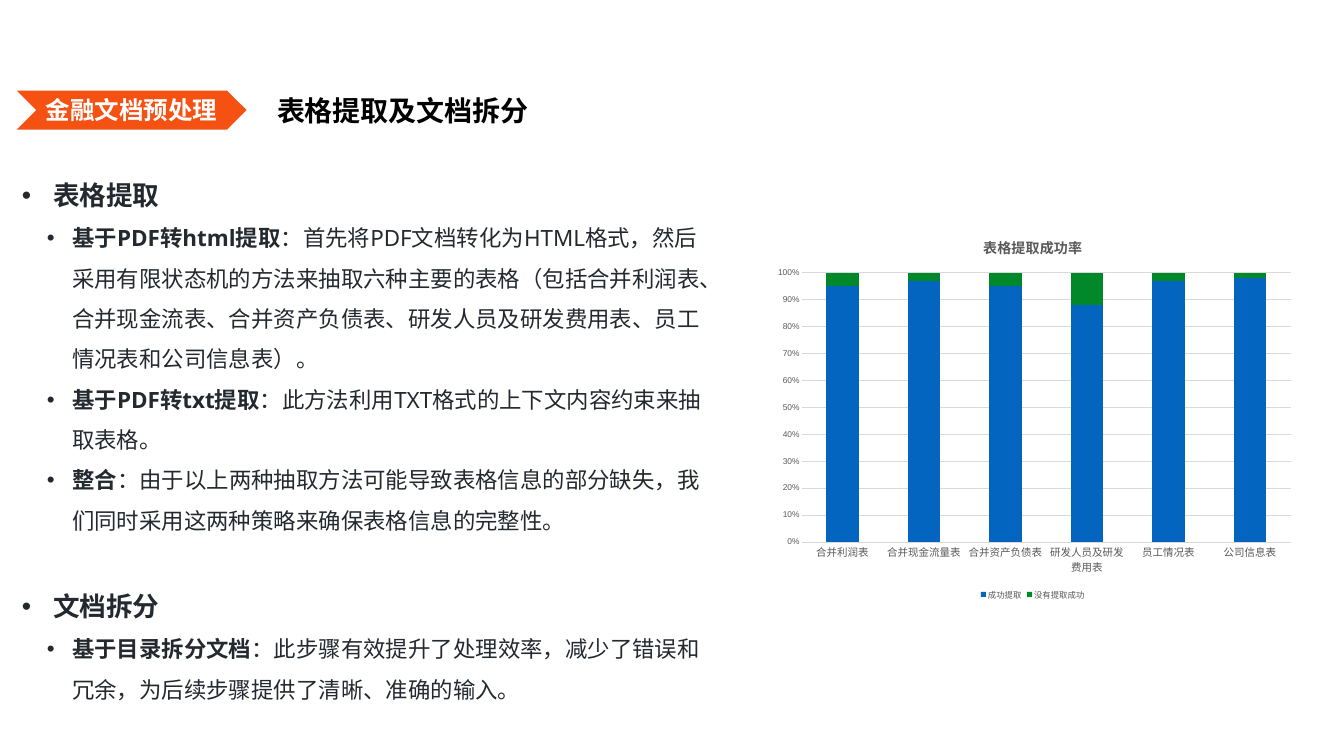
from dataclasses import dataclass

from lxml.etree import SubElement
from pptx import Presentation
from pptx.chart.data import CategoryChartData
from pptx.dml.color import RGBColor
from pptx.enum.chart import XL_CHART_TYPE, XL_LEGEND_POSITION, XL_TICK_MARK
from pptx.enum.shapes import MSO_SHAPE
from pptx.enum.text import MSO_ANCHOR, MSO_AUTO_SIZE, PP_ALIGN
from pptx.oxml import parse_xml
from pptx.oxml.ns import nsdecls, qn
from pptx.util import Inches, Pt


@dataclass(frozen=True)
class Theme:
    orange: str = "F55113"
    white: str = "FFFFFF"
    black: str = "000000"
    ink: str = "24292F"
    grey: str = "595959"
    grid: str = "D9D9D9"
    blue: str = "0365C0"
    green: str = "00882B"
    heading_font: str = "Noto Sans CJK SC"
    body_font: str = "Noto Sans"
    chart_font: str = "Arial"
    tag: int = 35
    title: int = 40
    section: int = 38
    body: int = 32
    chart_title: int = 20
    category: int = 15
    small: int = 12
    line_spacing: float = 1.5


theme = Theme()
deck = Presentation()
deck.slide_width, deck.slide_height = Inches(26.67), Inches(15)
page = deck.slides.add_slide(deck.slide_layouts[6])


def place(left, top, width, height):
    """Turn percentages of the slide into lengths."""
    across, down = deck.slide_width / 100, deck.slide_height / 100
    return int(left * across), int(top * down), int(width * across), int(height * down)


def write(para, text, size, color, font, bold=False):
    span = para.add_run()
    span.text = text
    span.font.size, span.font.bold, span.font.name = Pt(size), bold, font
    span.font.color.rgb = RGBColor.from_string(color)
    SubElement(span.font._element, qn("a:ea"), typeface=theme.heading_font)


# Chapter tag and slide title share one row
tag = page.shapes.add_shape(MSO_SHAPE.CHEVRON, *place(1.25, 12, 17.1, 5.13))
tag.shadow.inherit = False
tag.fill.solid()
tag.fill.fore_color.rgb = RGBColor.from_string(theme.orange)
tag.line.fill.background()
title = page.shapes.add_textbox(*place(18.37, 12, 23.21, 5.13))
headings = [
    (tag, "金融文档预处理", theme.tag, theme.white),
    (title, "表格提取及文档拆分", theme.title, theme.black),
]
for box, text, size, color in headings:
    frame = box.text_frame
    frame.word_wrap = False
    frame.vertical_anchor = MSO_ANCHOR.MIDDLE
    frame.margin_left = frame.margin_right = frame.margin_top = frame.margin_bottom = 0
    para = frame.paragraphs[0]
    para.alignment = PP_ALIGN.CENTER
    write(para, text, size, color, theme.heading_font, bold=True)

# Bulleted explanation: section name, then (lead, detail) points
sections = {
    "表格提取": [
        ("基于PDF转html提取", "：首先将PDF文档转化为HTML格式，然后采用有限状态机的方法来抽取六种主要的表格（包括合并利润表、合并现金流表、合并资产负债表、研发人员及研发费用表、员工情况表和公司信息表）。"),
        ("基于PDF转txt提取", "：此方法利用TXT格式的上下文内容约束来抽取表格。"),
        ("整合", "：由于以上两种抽取方法可能导致表格信息的部分缺失，我们同时采用这两种策略来确保表格信息的完整性。"),
    ],
    "文档拆分": [
        ("基于目录拆分文档", "：此步骤有效提升了处理效率，减少了错误和冗余，为后续步骤提供了清晰、准确的输入。"),
    ],
}
lines = []
for section, points in sections.items():
    lines.append((0, section, ""))
    lines += [(1, lead, detail) for lead, detail in points]

frame = page.shapes.add_textbox(*place(1.25, 21.27, 51.71, 72.13)).text_frame
frame.word_wrap = True
frame.auto_size = MSO_AUTO_SIZE.SHAPE_TO_FIT_TEXT
for index, (level, lead, detail) in enumerate(lines):
    para = frame.add_paragraph() if index else frame.paragraphs[0]
    para.level = level
    para.line_spacing = theme.line_spacing
    if index and level == 0:
        para.space_before = Pt(theme.body * 1.8)
    indent, hanging = [(0.62, 0.62), (1, 0.5)][level]
    properties = para._p.get_or_add_pPr()
    properties.set("marL", str(Inches(indent)))
    properties.set("indent", str(-Inches(hanging)))
    SubElement(properties, qn("a:buFont"), typeface="Arial")
    SubElement(properties, qn("a:buChar"), char="•")
    size = [theme.section, theme.body][level]
    write(para, lead, size, theme.ink, theme.body_font, bold=True)
    if detail:
        write(para, detail, size, theme.ink, theme.body_font)

# Success rate per table type
success = [95, 97, 95, 88, 97, 98]
data = CategoryChartData()
data.categories = ["合并利润表", "合并现金流量表", "合并资产负债表", "研发人员及研发费用表", "员工情况表", "公司信息表"]
data.add_series("成功提取", success)
data.add_series("没有提取成功", [100 - value for value in success])
chart = page.shapes.add_chart(
    XL_CHART_TYPE.COLUMN_STACKED_100, *place(56.84, 29.53, 40, 50.2), data
).chart
chart.font.name = theme.chart_font
chart.has_title = True
write(chart.chart_title.text_frame.paragraphs[0], "表格提取成功率",
      theme.chart_title, theme.grey, theme.chart_font, bold=True)
chart.chart_title.include_in_layout = False

plot = chart.plots[0]
plot.gap_width, plot.overlap, plot.vary_by_categories = 150, 100, False
for series, color in zip(plot.series, [theme.blue, theme.green]):
    series.format.fill.solid()
    series.format.fill.fore_color.rgb = RGBColor.from_string(color)

# Axes, gridlines and legend
chart.has_legend = True
chart.legend.position = XL_LEGEND_POSITION.BOTTOM
chart.legend.include_in_layout = False
category_axis, value_axis = chart.category_axis, chart.value_axis
for axis in (category_axis, value_axis):
    axis.major_tick_mark = axis.minor_tick_mark = XL_TICK_MARK.NONE
value_axis.minimum_scale, value_axis.maximum_scale, value_axis.major_unit = 0, 1, 0.1
value_axis.tick_labels.number_format = "0%"
value_axis.tick_labels.number_format_is_linked = False
value_axis.format.line.fill.background()
for line in (category_axis.format.line, value_axis.major_gridlines.format.line):
    line.color.rgb = RGBColor.from_string(theme.grid)
    line.width = Pt(0.75)
for font, size in [
    (category_axis.tick_labels.font, theme.category),
    (value_axis.tick_labels.font, theme.small),
    (chart.legend.font, theme.small),
]:
    font.name, font.size = theme.chart_font, Pt(size)
    font.color.rgb = RGBColor.from_string(theme.grey)

# Inner plot area as shares of the chart
plot_area = chart._chartSpace.chart.plotArea
for old in plot_area.findall(qn("c:layout")):
    plot_area.remove(old)
layout = parse_xml(f"<c:layout {nsdecls('c')}><c:manualLayout/></c:layout>")
for name, value in [("layoutTarget", "inner"), ("xMode", "edge"), ("yMode", "edge"),
                    ("x", 0.07), ("y", 0.13), ("w", 0.91), ("h", 0.71)]:
    SubElement(layout[0], qn(f"c:{name}"), val=str(value))
plot_area.insert(0, layout)

deck.save("out.pptx")
